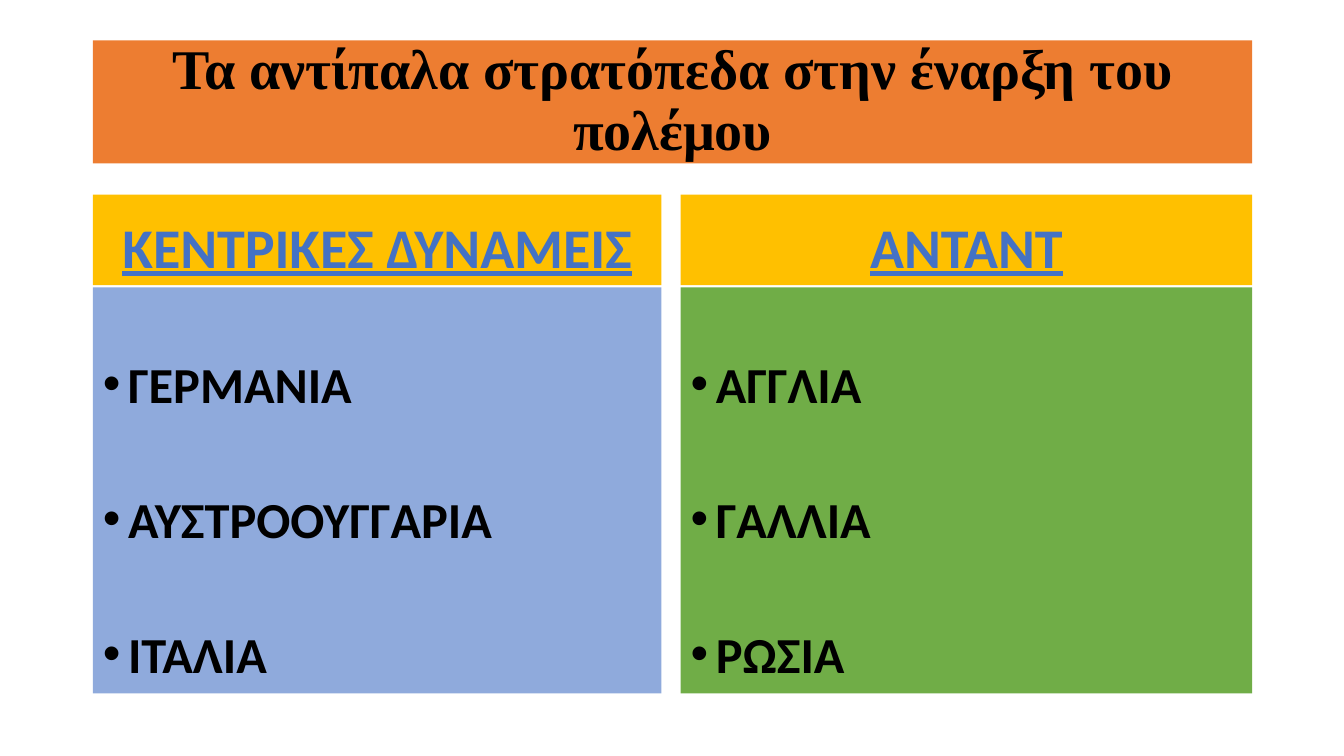
from dataclasses import dataclass

from lxml import etree
from pptx import Presentation
from pptx import util as u
from pptx.dml.color import RGBColor
from pptx.enum import text
from pptx.oxml.ns import qn

WIDE, HIGH = 13.33, 7.5
LEFT, RIGHT = 0.92, 6.75
BLACK, GOLD, BLUE = "000000", "FFC000", "4472C4"


@dataclass
class Style:
    face: str
    size: int
    ink: str
    line: bool = False


@dataclass
class Camp:
    name: str
    lands: list[str]
    left: float
    width: float
    fill: str


TITLE = Style("Times New Roman", 40, BLACK)
HEAD = Style("Calibri", 40, BLUE, True)
LIST = Style("Calibri", 36, BLACK)
CAMPS = [
    Camp("ΚΕΝΤΡΙΚΕΣ ΔΥΝΑΜΕΙΣ", ["ΓΕΡΜΑΝΙΑ", "ΑΥΣΤΡΟΟΥΓΓΑΡΙΑ", "ΙΤΑΛΙΑ"],
         LEFT, 5.64, "8FAADC"),
    Camp("ΑΝΤΑΝΤ", ["ΑΓΓΛΙΑ", "ΓΑΛΛΙΑ", "ΡΩΣΙΑ"], RIGHT, 5.67, "70AD47"),
]


def color(code: str) -> RGBColor:
    return RGBColor.from_string(code)


def bullet(para) -> None:
    props = para._p.get_or_add_pPr()
    props.set("marL", str(u.Inches(0.25)))
    props.set("indent", str(-u.Inches(0.25)))
    etree.SubElement(props, qn("a:buFont")).set("typeface", "Arial")
    etree.SubElement(props, qn("a:buChar")).set("char", "•")


def panel(box, area: tuple, fill: str, style: Style, lines: list[str],
          anchor, listed: bool = False) -> None:
    """Place, fill and write one placeholder; area is in inches."""
    box.left, box.top, box.width, box.height = map(u.Inches, area)
    box.fill.solid()
    box.fill.fore_color.rgb = color(fill)
    frame = box.text_frame
    frame.text = "\n".join(lines)
    frame.word_wrap = True
    frame.auto_size = text.MSO_AUTO_SIZE.NONE
    frame.vertical_anchor = anchor
    for row, para in enumerate(frame.paragraphs):
        if listed:
            bullet(para)
        para.alignment = text.PP_ALIGN.LEFT if listed else text.PP_ALIGN.CENTER
        para.line_spacing = 2.0 if listed else 0.9
        para.space_before = u.Pt(10 if row else 0)
        font = para.font
        font.name, font.size = style.face, u.Pt(style.size)
        font.bold, font.underline = True, style.line
        font.color.rgb = color(style.ink)


def main() -> None:
    deck = Presentation()
    deck.slide_width, deck.slide_height = u.Inches(WIDE), u.Inches(HIGH)
    slide = deck.slides.add_slide(deck.slide_layouts.get_by_name("Comparison"))
    title, *boxes = slide.placeholders
    panel(title, (LEFT, 0.4, 11.5, 1.22), "ED7D31", TITLE,
          ["Τα αντίπαλα στρατόπεδα στην έναρξη του πολέμου"],
          text.MSO_ANCHOR.MIDDLE)
    for camp, head, body in zip(CAMPS, boxes[::2], boxes[1::2]):
        panel(head, (camp.left, 1.93, camp.width, 0.9), GOLD, HEAD,
              [camp.name], text.MSO_ANCHOR.BOTTOM)
        panel(body, (camp.left, 2.85, camp.width, 4.03), camp.fill, LIST,
              camp.lands, text.MSO_ANCHOR.TOP, listed=True)
    deck.save("out.pptx")


if __name__ == "__main__":
    main()
